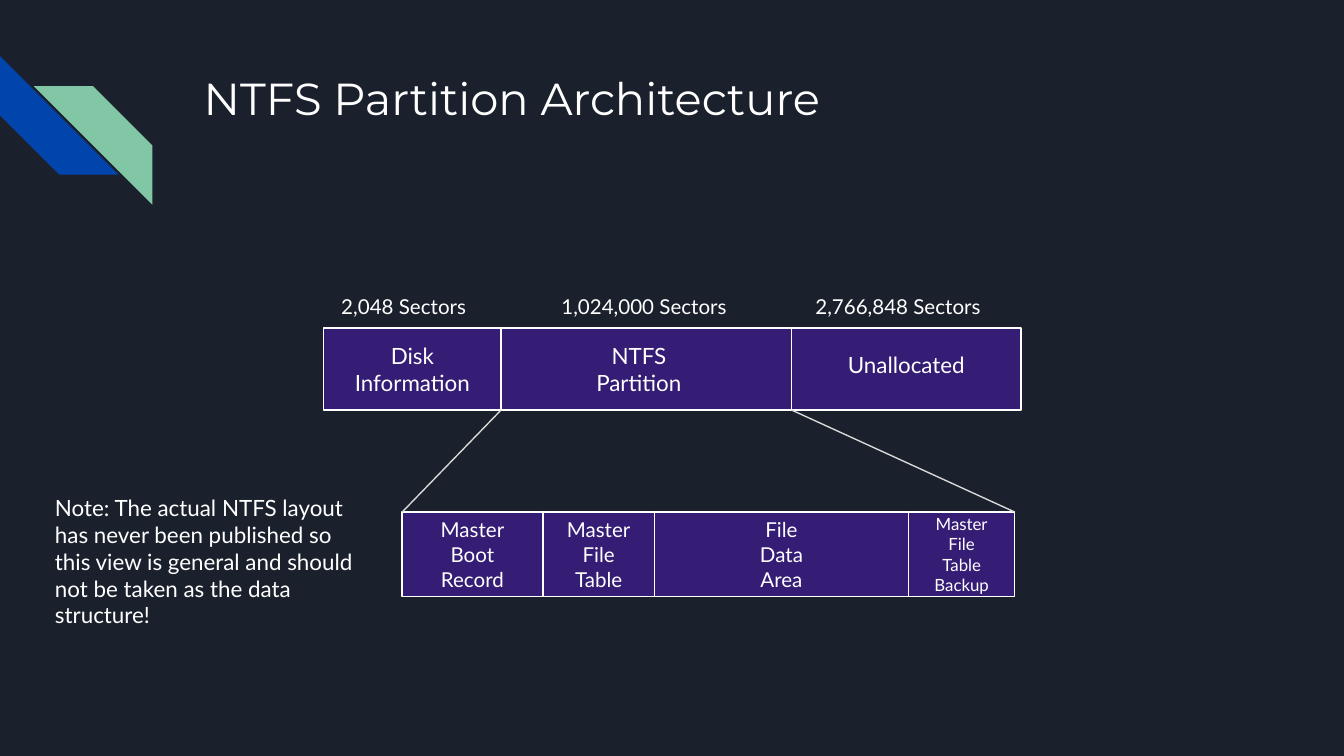
"""Build a slide that shows how an NTFS partition is laid out."""
import dataclasses

import lxml.etree
import pptx
import pptx.dml.color
import pptx.enum.shapes
import pptx.enum.text
import pptx.oxml.ns
import pptx.util

Cm, Pt = pptx.util.Cm, pptx.util.Pt
RGB = pptx.dml.color.RGBColor.from_string
Kind = pptx.enum.shapes.MSO_SHAPE
Align = pptx.enum.text.PP_ALIGN
Anchor = pptx.enum.text.MSO_ANCHOR


@dataclasses.dataclass(frozen=True)
class Theme:
    """Hold the colours, fonts and type sizes."""
    back: str = "1B212C"
    text: str = "FFFFFF"
    block: str = "351C75"
    wire: str = "D9D9D9"
    blue: str = "0145AC"
    green: str = "82C7A5"
    head: str = "Montserrat"
    body: str = "Lato"
    title: float = 24
    large: float = 12
    small: float = 11
    tiny: float = 9
    rule: float = 0.75


THEME = Theme()


def apply(item, form):
    """Set each attribute of item named in form."""
    for name, value in form.items():
        setattr(item, name, value)


def write(shape, text, size, font=THEME.body, align=Align.LEFT, **form):
    """Fill the shape with styled text, one paragraph per line."""
    frame = shape.text_frame
    apply(frame, {"word_wrap": True, "text": text, **form})
    for para in frame.paragraphs:
        para.alignment = align
        apply(para.font, {"name": font, "size": Pt(size)})
        para.font.color.rgb = RGB(THEME.text)


def label(slide, box, text, size, font=THEME.body):
    """Add a text box with even margins."""
    shape = slide.shapes.add_textbox(*map(Cm, box))
    sides = ("left", "top", "right", "bottom")
    pads = {f"margin_{side}": Cm(0.25) for side in sides}
    write(shape, text, size, font, **pads)


def solid(slide, kind, box, tint):
    """Add a flat preset shape with no outline."""
    shape = slide.shapes.add_shape(kind, *map(Cm, box))
    shape.shadow.inherit = False
    shape.fill.solid()
    shape.fill.fore_color.rgb = RGB(tint)
    shape.line.fill.background()
    return shape


def stroke(line, tint):
    """Give a line its colour and width."""
    line.color.rgb = RGB(tint)
    line.width = Pt(THEME.rule)


def strip(slide, top, tall, edges, cells):
    """Draw adjoining blocks between successive edges."""
    for left, right, (text, size, form) in zip(edges, edges[1:], cells):
        box = left, top, right - left, tall
        block = solid(slide, Kind.RECTANGLE, box, THEME.block)
        stroke(block.line, THEME.text)
        base = {"margin_top": 0, "margin_bottom": 0,
                "vertical_anchor": Anchor.MIDDLE}
        write(block, text, size, align=Align.CENTER, **{**base, **form})


def wire(slide, start, end):
    """Draw a straight line between two points."""
    kind = pptx.enum.shapes.MSO_CONNECTOR.STRAIGHT
    line = slide.shapes.add_connector(kind, *map(Cm, start + end))
    stroke(line.line, THEME.wire)
    tag = pptx.oxml.ns.qn("a:effectLst")
    lxml.etree.SubElement(line.element.spPr, tag)


def logo(slide):
    """Draw the two slanted stripes at the left edge."""
    side = 2.24
    blue = solid(slide, Kind.DIAGONAL_STRIPE, (0, 1.06, side, side), THEME.blue)
    blue.rotation = 270
    green = solid(slide, Kind.DIAGONAL_STRIPE, (0.64, 1.63, side, side),
                  THEME.green)
    green.element.spPr.xfrm.set("flipH", "1")


def main():
    """Build and save the slide."""
    deck = pptx.Presentation()
    apply(deck, {"slide_width": Cm(25.4), "slide_height": Cm(14.29)})
    slide = deck.slides.add_slide(deck.slide_layouts[6])
    slide.background.fill.solid()
    slide.background.fill.fore_color.rgb = RGB(THEME.back)

    logo(slide)
    label(slide, (3.6, 1.09, 19.56, 2.54), "NTFS Partition Architecture",
          THEME.title, THEME.head)

    disk, disk_top, disk_tall = (6.12, 9.47, 14.96, 19.3), 6.2, 1.55
    part, part_top, part_tall = (7.6, 10.26, 12.37, 17.17, 19.18), 9.68, 1.6
    strip(slide, disk_top, disk_tall, disk, (
        ("Disk Information", THEME.large, {}),
        ("NTFS\nPartition", THEME.large, {"margin_right": Cm(0.53)}),
        ("Unallocated", THEME.large, {"margin_bottom": Cm(0.18)}),
    ))
    strip(slide, part_top, part_tall, part, (
        ("Master\nBoot\nRecord", THEME.small, {}),
        ("Master\nFile\nTable", THEME.small, {}),
        ("File\nData\nArea", THEME.small, {}),
        ("Master\nFile\nTable\nBackup", THEME.tiny, {}),
    ))
    for upper, lower in ((disk[1], part[0]), (disk[2], part[-1])):
        wire(slide, (upper, disk_top + disk_tall), (lower, part_top))

    for left, width, count in ((6.2, 3.25, "2,048"),
                               (10.36, 3.71, "1,024,000"),
                               (15.16, 4.11, "2,766,848")):
        label(slide, (left, 5.33, width, 0.99), f"{count} Sectors",
              THEME.small)
    label(slide, (0.79, 9.09, 6.2, 3.07),
          "Note: The actual NTFS layout has never been published so this view "
          "is general and should not be taken as the data structure!",
          THEME.large)
    deck.save("out.pptx")


if __name__ == "__main__":
    main()
